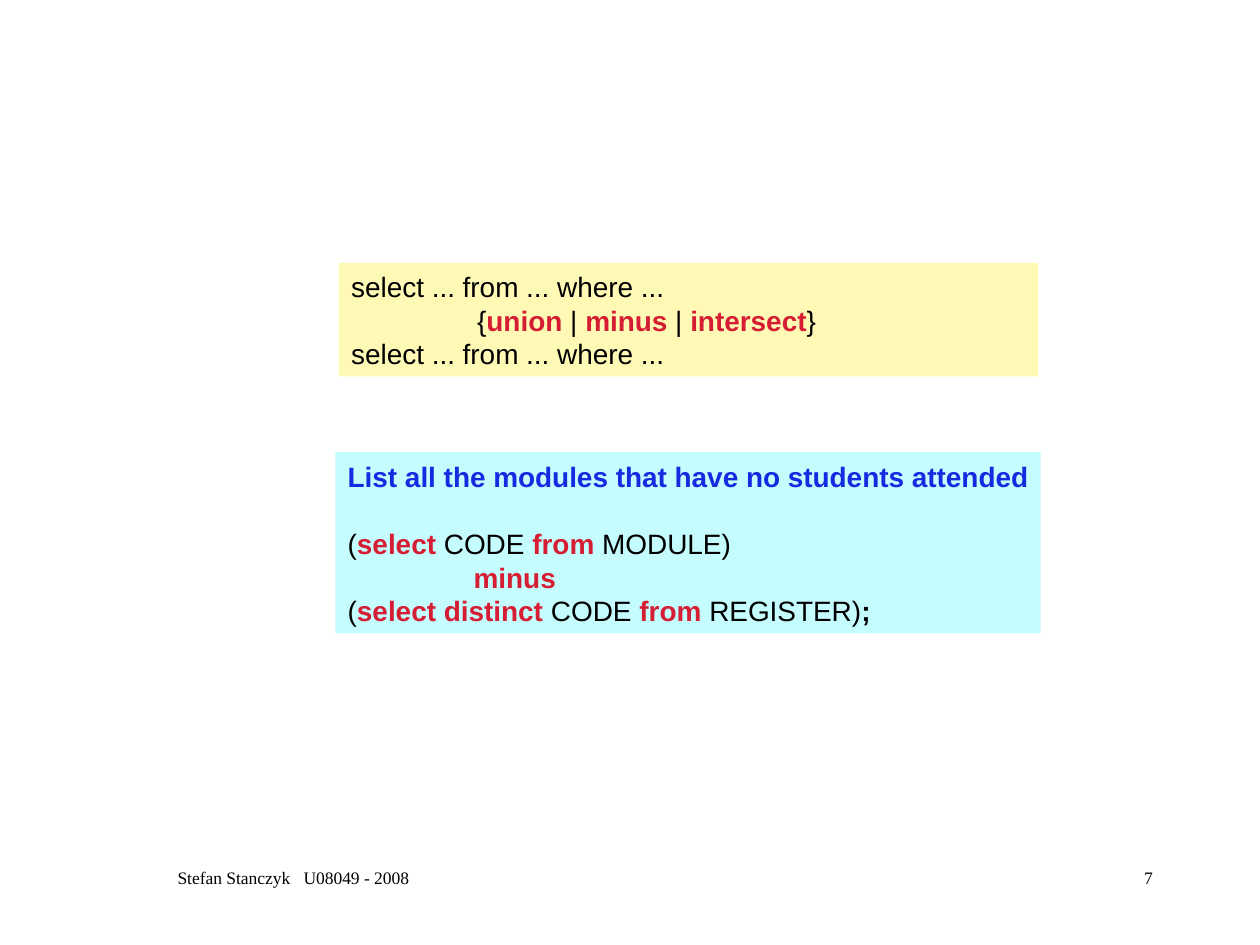
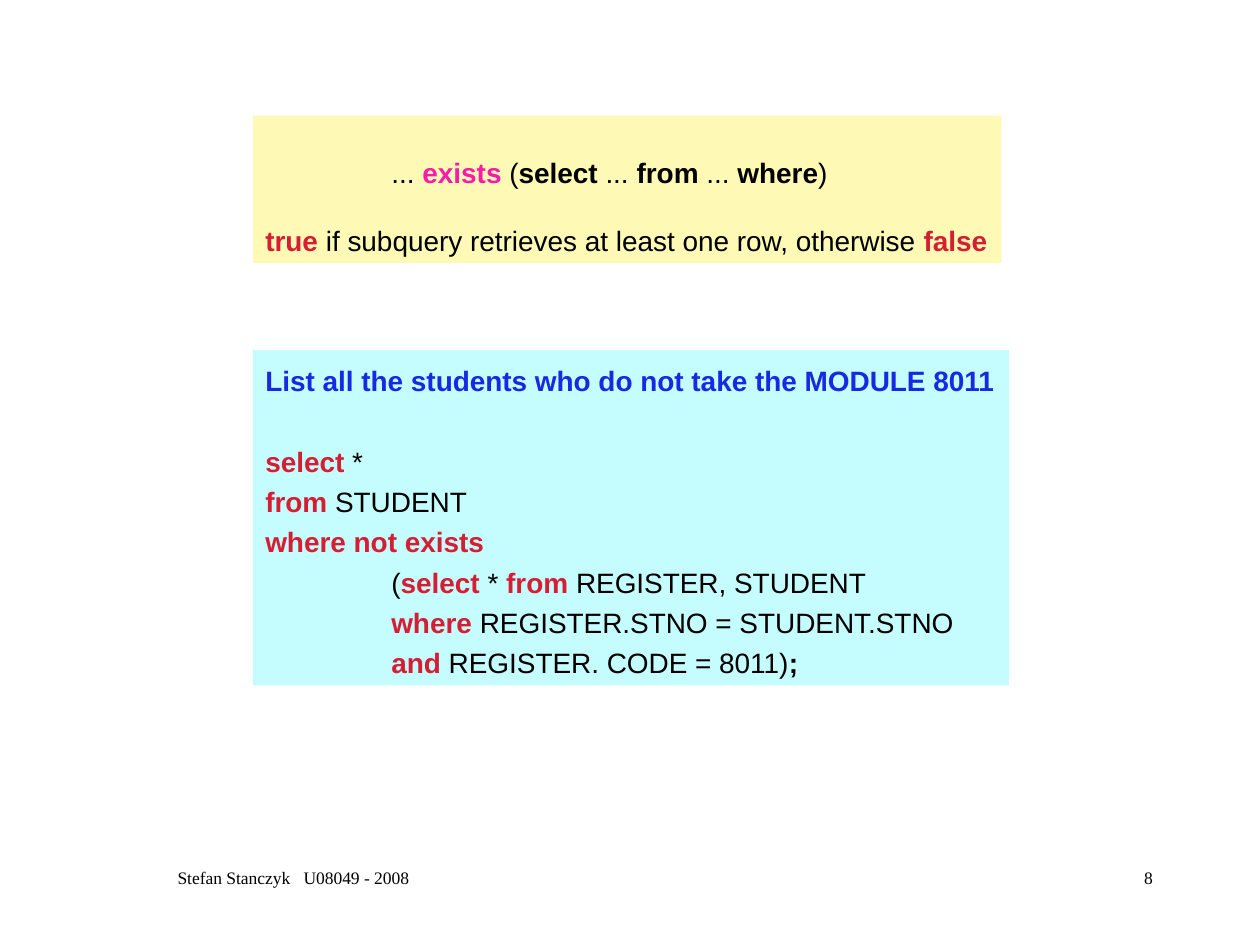
from pptx import Presentation
from pptx.dml.color import RGBColor
from pptx.enum.shapes import MSO_SHAPE
from pptx.enum.text import MSO_ANCHOR, PP_ALIGN
from pptx.util import Cm, Pt

RECTANGLE = MSO_SHAPE.RECTANGLE
BOTTOM = MSO_ANCHOR.BOTTOM
LEFT, RIGHT = PP_ALIGN.LEFT, PP_ALIGN.RIGHT

SYNTAX_FILL, EXAMPLE_FILL = "FFF9B6", "C5FDFF"
BLACK, RED, BLUE, PINK = "000000", "D51E34", "162AE1", "FA1BAC"
LINE_HEIGHT = 19.2
CODE_INDENT = Cm(2.54)
CODE_FONT = {"name": "Arial", "size": Pt(16)}
FOOTER_FONT = {"name": "Times New Roman", "size": Pt(10), "bold": False}
FOOTER_TEXT = "Stefan Stanczyk\tU08049 - 2008"


def rgb(hex_colour):
    """Turn a hex string into a colour."""
    return RGBColor.from_string(hex_colour)


def set_attributes(target, values):
    """Set each named value on the target."""
    for name, value in values.items():
        setattr(target, name, value)


def bold(text, colour=BLACK):
    """Describe a bold run."""
    return text, colour, True


def keyword(text):
    """Describe a red SQL keyword."""
    return bold(text, RED)


def line(*runs, indented=False, blank_before=False):
    """Describe a code line; bare strings are plain black runs."""
    runs = [(run, BLACK, False) if isinstance(run, str) else run for run in runs]
    return runs, indented, blank_before


def add_run(paragraph, text, colour, font_values):
    """Append a formatted run to a paragraph."""
    run = paragraph.add_run()
    run.text = text
    set_attributes(run.font, font_values)
    run.font.color.rgb = rgb(colour)


def add_code_panel(slide, left, top, width, height, fill, lines, spacing=1.0):
    """Add a filled panel of SQL lines."""
    panel = slide.shapes.add_shape(RECTANGLE, Cm(left), Cm(top), Cm(width), Cm(height))
    panel.shadow.inherit = False
    panel.fill.solid()
    panel.fill.fore_color.rgb = rgb(fill)
    panel.line.fill.background()
    frame = panel.text_frame
    set_attributes(frame, {"word_wrap": True, "vertical_anchor": BOTTOM,
                           "margin_right": Cm(0)})
    for index, (runs, indented, blank_before) in enumerate(lines):
        paragraph = frame.add_paragraph() if index else frame.paragraphs[0]
        set_attributes(paragraph, {
            "alignment": LEFT,
            "line_spacing": spacing,
            "space_before": Pt(LINE_HEIGHT * spacing if blank_before else 0),
        })
        if indented:
            paragraph._p.get_or_add_pPr().set("marL", str(CODE_INDENT))
        for text, colour, is_bold in runs:
            add_run(paragraph, text, colour, {**CODE_FONT, "bold": is_bold})


def add_footer_text(slide, left, width, text, alignment):
    """Add one part of the footer."""
    box = slide.shapes.add_textbox(Cm(left), Cm(17.35), Cm(width), Cm(1.27))
    box.text_frame.word_wrap = True
    paragraph = box.text_frame.paragraphs[0]
    paragraph.alignment = alignment
    add_run(paragraph, text, BLACK, FOOTER_FONT)
    return box


def add_slide(deck, number):
    """Add a blank slide with the shared footer."""
    slide = deck.slides.add_slide(deck.slide_layouts[6])
    credit = add_footer_text(slide, 1.9, 8.05, FOOTER_TEXT, LEFT)
    credit.text_frame.margin_left = Cm(1.68)
    add_footer_text(slide, 18.21, 5.28, str(number), RIGHT)
    return slide


def add_set_operators_slide(deck):
    """Show union, minus and intersect."""
    slide = add_slide(deck, 7)
    subquery = line("select ... from ... where ...")
    add_code_panel(slide, 6.83, 5.3, 14.1, 2.29, SYNTAX_FILL, [
        subquery,
        line("{", keyword("union"), " | ", keyword("minus"), " | ",
             keyword("intersect"), "}", indented=True),
        subquery,
    ])
    add_code_panel(slide, 6.76, 9.11, 14.22, 3.66, EXAMPLE_FILL, [
        line(bold("List all the modules that have no students attended", BLUE)),
        line("(", keyword("select"), " CODE ", keyword("from "), "MODULE)",
             blank_before=True),
        line(keyword("minus"), indented=True),
        line("(", keyword("select distinct"), " CODE ", keyword("from"),
             " REGISTER)", bold(";")),
    ])


def add_exists_slide(deck):
    """Show the exists predicate."""
    slide = add_slide(deck, 8)
    add_code_panel(slide, 5.1, 2.33, 15.09, 2.97, SYNTAX_FILL, [
        line("... ", bold("exists ", PINK), "(", bold("select"), " ... ",
             bold("from"), " ... ", bold("where"), ")", indented=True),
        line(keyword("true"),
             " if subquery retrieves at least one row, otherwise ",
             keyword("false"), blank_before=True),
    ])
    add_code_panel(slide, 5.1, 7.06, 15.24, 6.76, EXAMPLE_FILL, [
        line(bold("List all the students who do not take the MODULE 8011", BLUE)),
        line(keyword("select"), " *", blank_before=True),
        line(keyword("from"), " STUDENT"),
        line(keyword("where not exists")),
        line("(", keyword("select"), " * ", keyword("from "),
             "REGISTER, STUDENT", indented=True),
        line(keyword("where "), "REGISTER.STNO = STUDENT.STNO", indented=True),
        line(keyword("and "), "REGISTER. CODE = 8011)", bold(";"), indented=True),
    ], spacing=1.2)


def main():
    """Build and save the deck."""
    deck = Presentation()
    set_attributes(deck, {"slide_width": Cm(25.4), "slide_height": Cm(19.05)})
    add_set_operators_slide(deck)
    add_exists_slide(deck)
    deck.save("out.pptx")


if __name__ == "__main__":
    main()
